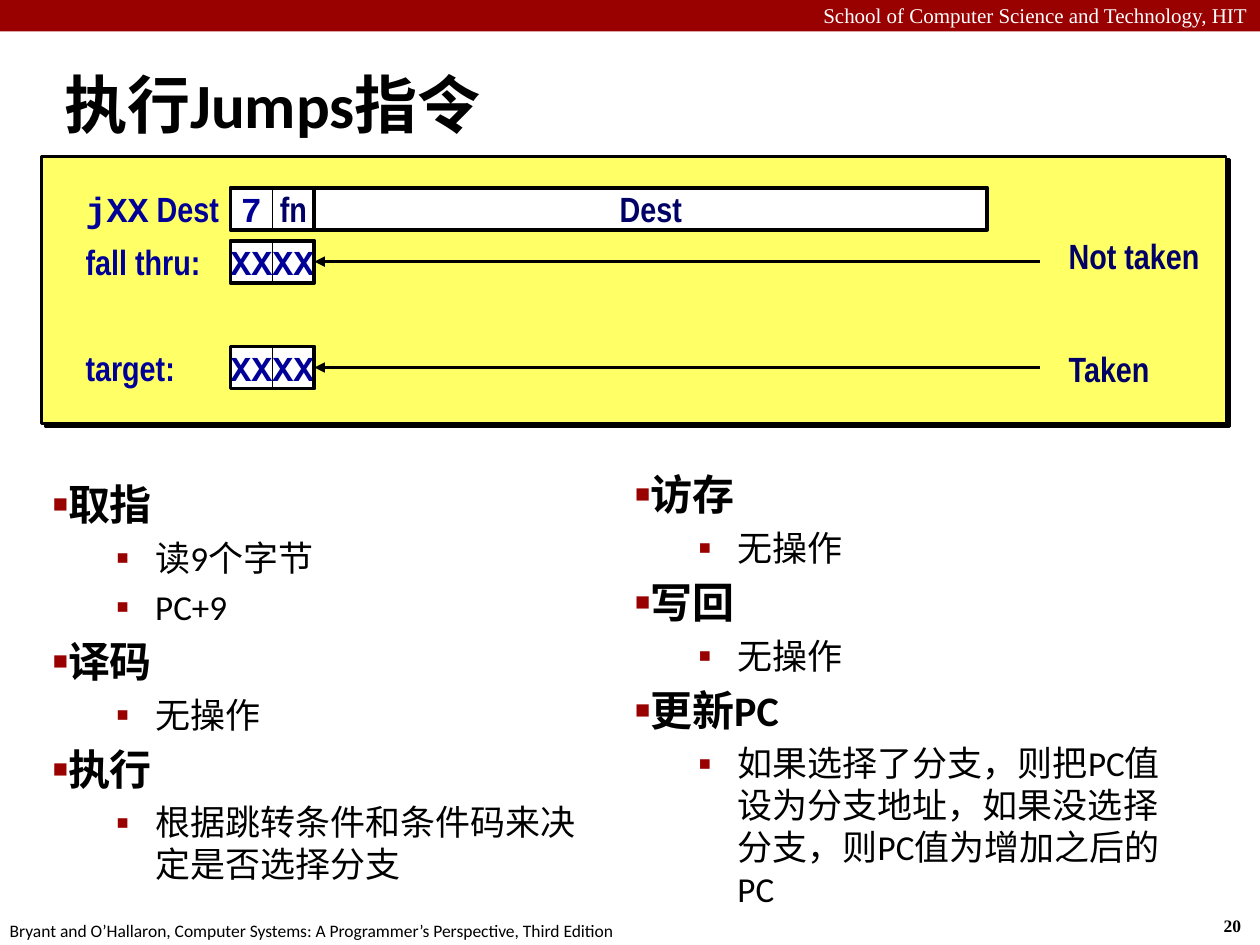
import pptx
import pptx.dml.color
import pptx.enum.shapes
import pptx.enum.text
import pptx.oxml
import pptx.oxml.ns
import pptx.util

Pt = pptx.util.Pt
ALIGN = pptx.enum.text.PP_ALIGN
ANCHOR = pptx.enum.text.MSO_ANCHOR
RECTANGLE = pptx.enum.shapes.MSO_SHAPE.RECTANGLE
STRAIGHT = pptx.enum.shapes.MSO_CONNECTOR.STRAIGHT

CODE = {"name": "Courier New", "size": Pt(20), "bold": True, "color": "000099"}
LABEL = CODE | {"name": "Arial Narrow"}
DARK = LABEL | {"color": "000066"}
HEADER = {"name": "Times New Roman", "size": Pt(12), "bold": False, "color": "FFFFFF"}
NUMBER = HEADER | {"size": Pt(10), "bold": True, "color": "000000"}
CREDIT = NUMBER | {"name": "Calibri", "bold": False}
HEADING = CREDIT | {"size": Pt(24), "bold": True}
DETAIL = CREDIT | {"size": Pt(20)}
TITLE = HEADING | {"size": Pt(36)}

LEVELS = [
    {"font": HEADING, "margin": 0, "indent": 0, "bullet": "■", "percent": 60},
    {"font": DETAIL, "margin": 58.5, "indent": -22.5, "bullet": "▪", "percent": 110},
]

FETCH_TO_EXECUTE = [
    (0, "取指"), (1, "读9个字节"), (1, "PC+9"),
    (0, "译码"), (1, "无操作"),
    (0, "执行"), (1, "根据跳转条件和条件码来决定是否选择分支"),
]
MEMORY_TO_PC = [
    (0, "访存"), (1, "无操作"),
    (0, "写回"), (1, "无操作"),
    (0, "更新PC"),
    (1, "如果选择了分支，则把PC值设为分支地址，如果没选择分支，则PC值为增加之后的PC"),
]


def rgb(color):
    """Turn a hex string into a colour."""
    return pptx.dml.color.RGBColor.from_string(color)


def apply_format(target, values):
    """Set each attribute in values on target."""
    for name, value in values.items():
        if name == "color":
            target.color.rgb = rgb(value)
        else:
            setattr(target, name, value)


def add_xml(parent, tag, content="", **attributes):
    """Append a DrawingML element to parent."""
    listed = "".join(f' {key}="{value}"' for key, value in attributes.items())
    parent.append(pptx.oxml.parse_xml(
        f'<a:{tag} {pptx.oxml.ns.nsdecls("a")}{listed}>{content}</a:{tag}>'))


def place(shape, box):
    """Move a placeholder into a box given in points."""
    sides = ("left", "top", "width", "height")
    apply_format(shape, dict(zip(sides, map(Pt, box))))


def write_runs(frame, runs, align=ALIGN.LEFT, anchor=ANCHOR.MIDDLE, wrap=False, inset=7.2):
    """Write formatted runs into the first paragraph of a frame."""
    apply_format(frame, {"word_wrap": wrap, "vertical_anchor": anchor,
                         "margin_left": Pt(inset), "margin_right": Pt(inset)})
    paragraph = frame.paragraphs[0]
    paragraph.alignment = align
    for text, style in runs:
        run = paragraph.add_run()
        run.text = text
        apply_format(run.font, style)
    return paragraph


def add_text(slide, box, runs, **options):
    """Add a text box and return its paragraph."""
    return write_runs(slide.shapes.add_textbox(*map(Pt, box)).text_frame, runs, **options)


def add_box(shapes, box, fill=None, line=None, runs=()):
    """Add a rectangle with optional fill, outline weight and centred text."""
    rectangle = shapes.add_shape(RECTANGLE, *map(Pt, box))
    rectangle.shadow.inherit = False
    if fill:
        rectangle.fill.solid()
        rectangle.fill.fore_color.rgb = rgb(fill)
    else:
        rectangle.fill.background()
    if line:
        apply_format(rectangle.line, {"color": "000000", "width": Pt(line)})
    else:
        rectangle.line.fill.background()
    if runs:
        write_runs(rectangle.text_frame, runs, align=ALIGN.CENTER)
    return rectangle


def add_header(slide, box):
    """Add the school banner."""
    left, top, width, height = box
    add_box(slide.shapes, box, fill="990000")
    add_text(slide, (left, top - 2, width, height + 3.6),
             [("School of Computer Science and Technology, HIT", HEADER)],
             align=ALIGN.RIGHT, anchor=ANCHOR.TOP, wrap=True)


def add_footer(slide, box):
    """Add the book credit and the page number."""
    left, top, width, height = box
    add_text(slide, (left, top, 366, height),
             [("Bryant and O’Hallaron, Computer Systems: "
               "A Programmer’s Perspective, Third Edition", CREDIT)], anchor=ANCHOR.TOP)
    add_text(slide, (left + width - 27, top - 2.6, 27, height), [("20", NUMBER)],
             anchor=ANCHOR.TOP)


def fill_title(title, box):
    """Place and write the slide title."""
    place(title, box)
    title.text_frame.auto_size = pptx.enum.text.MSO_AUTO_SIZE.NONE
    write_runs(title.text_frame, [("执行Jumps指令", TITLE)], wrap=True)


def fill_stages(body, box, stages):
    """Place a body placeholder and write its bulleted stages."""
    place(body, box)
    frame = body.text_frame
    frame.auto_size = pptx.enum.text.MSO_AUTO_SIZE.NONE
    for index, (depth, text) in enumerate(stages):
        level = LEVELS[depth]
        paragraph = frame.add_paragraph() if index else frame.paragraphs[0]
        paragraph.level = depth
        if index == 0:
            paragraph.space_before = Pt(0)
        properties = paragraph._p.get_or_add_pPr()
        properties.set("marL", str(Pt(level["margin"])))
        properties.set("indent", str(Pt(level["indent"])))
        add_xml(properties, "buClr", '<a:srgbClr val="990000"/>')
        add_xml(properties, "buSzPct", val=level["percent"] * 1000)
        add_xml(properties, "buChar", char=level["bullet"])
        run = paragraph.add_run()
        run.text = text
        apply_format(run.font, level["font"])


def add_bytes(slide, left, top, cell, contents):
    """Add a framed pair of cells and return the frame."""
    group = slide.shapes.add_group_shape()
    for index, run in enumerate(contents):
        add_box(group.shapes, (left + index * cell, top, cell, cell), "FFFFFF", 0.5, [run])
    return add_box(group.shapes, (left, top, cell * len(contents), cell), line=2.25)


def add_branch(slide, target, start, label, label_top):
    """Add a labelled arrow that ends at the right side of target."""
    middle = target.top + target.height // 2
    arrow = slide.shapes.add_connector(
        STRAIGHT, Pt(start), middle, target.left + target.width, middle)
    arrow.end_connect(target, 3)
    apply_format(arrow.line, {"color": "000000", "width": Pt(1.5)})
    add_xml(arrow.line._get_or_add_ln(), "tailEnd", type="triangle")
    add_xml(arrow._element.spPr, "effectLst")
    paragraph = add_text(slide, (start + 13, label_top, 90, 29), [(label, DARK)],
                         anchor=ANCHOR.TOP, inset=3.6)
    paragraph.line_spacing = 0.9


def add_encoding(slide, box):
    """Add the panel showing the jump encoding and both branch outcomes."""
    left, top, width, height = box
    panel = add_box(slide.shapes, box, "FFFF66", 1.5)
    effects = panel._element.spPr.find(pptx.oxml.ns.qn("a:effectLst"))
    add_xml(effects, "outerShdw", '<a:srgbClr val="000000"/>',
            dist=Pt(2.8), dir=45 * 60000, algn="ctr", rotWithShape=0)
    cell, bytes_left = 24, left + 108
    unknown = [("XX", CODE)] * 2
    rows = [
        (0, [("jXX", CODE), (" Dest", LABEL)], [("7", CODE), ("fn", DARK)], None),
        (1, [("fall thru:", LABEL)], unknown, ("Not taken", -4.3)),
        (3, [("target:", LABEL)], unknown, ("Taken", 0)),
    ]
    for step, name, contents, branch in rows:
        row_top = top + 18 + step * 30.25
        add_text(slide, (left + 21.6, row_top, 86, cell), name, inset=3.6)
        frame = add_bytes(slide, bytes_left, row_top, cell, contents)
        if branch:
            label, offset = branch
            add_branch(slide, frame, left + 570.3, label, row_top + offset)
        else:
            add_box(slide.shapes, (bytes_left + 2 * cell, row_top, 384.5, cell),
                    "FFFFFF", 2.25, [("Dest", DARK)])


def main():
    """Build and save the slide."""
    deck = pptx.Presentation()
    deck.slide_width, deck.slide_height = Pt(720), Pt(540)
    slide = deck.slides.add_slide(deck.slide_layouts[3])
    title, first_stages, last_stages = slide.placeholders
    add_header(slide, (0, 0, 720, 18))
    add_footer(slide, (-1.5, 522, 720.7, 19.4))
    fill_title(title, (29.5, 29.2, 684.5, 60))
    fill_stages(first_stages, (23, 270, 321, 238), FETCH_TO_EXECUTE)
    fill_stages(last_stages, (355.7, 264.3, 321, 249), MEMORY_TO_PC)
    add_encoding(slide, (23.7, 89.25, 677, 152.6))
    deck.save("out.pptx")


if __name__ == "__main__":
    main()
